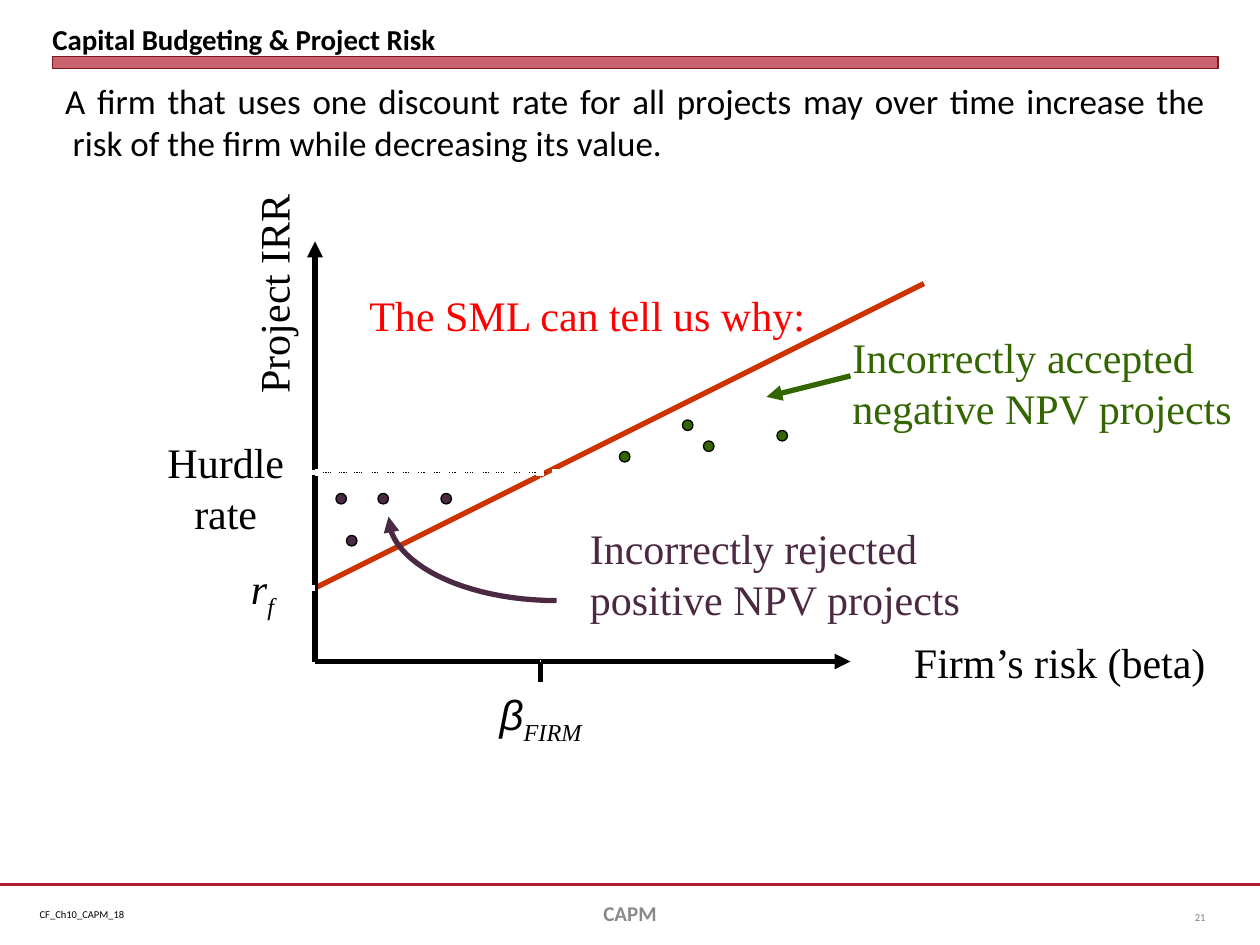
from lxml import etree
from pptx import Presentation, util as u
from pptx.dml.color import RGBColor
from pptx.enum import dml, shapes, text
from pptx.oxml import ns

# Grid: 120 columns by 90 rows, twelve cells to the inch
CELL = u.Inches(1) // 12
COLUMNS, ROWS = 120, 90

BLACK = RGBColor(0x00, 0x00, 0x00)
WHITE = RGBColor(0xFF, 0xFF, 0xFF)
INK = RGBColor(0x01, 0x00, 0x04)
RED = RGBColor(0xFF, 0x00, 0x00)
BRAND = RGBColor(0xB0, 0x1C, 0x2E)
BRAND_DARK = RGBColor(0x82, 0x15, 0x22)
ORANGE = RGBColor(0xCC, 0x33, 0x00)
GREEN = RGBColor(0x33, 0x66, 0x00)
PLUM = RGBColor(0x4B, 0x29, 0x42)
FOOTER_GRAY = RGBColor(0x89, 0x89, 0x89)
NUMBER_GRAY = RGBColor(0x80, 0x80, 0x80)
SERIF, SANS = "Times New Roman", "Calibri"
ALIGN, ANCHOR = text.PP_ALIGN, text.MSO_ANCHOR

presentation = Presentation()
presentation.slide_width, presentation.slide_height = COLUMNS * CELL, ROWS * CELL
slide = presentation.slides.add_slide(presentation.slide_layouts[1])


def write(wording, box, shape=None, font=SERIF, size=24, color=BLACK, bold=False,
          italic=False, align=ALIGN.LEFT, anchor=ANCHOR.TOP, wrap=True,
          rotation=0, subscript=""):
    """Put text in a new box, or in the given placeholder, at grid cells."""
    left, top, width, height = [round(CELL * cells) for cells in box]
    if shape is None:
        shape = slide.shapes.add_textbox(left, top, width, height)
    shape.left, shape.top, shape.width, shape.height = left, top, width, height
    shape.rotation = rotation
    frame = shape.text_frame
    frame.word_wrap, frame.vertical_anchor = wrap, anchor
    frame.auto_size = text.MSO_AUTO_SIZE.NONE
    paragraph = frame.paragraphs[0]
    paragraph.alignment, paragraph.space_before = align, u.Pt(0)
    for content, face in ((wording, font), (subscript, SERIF)):
        if content:
            run = paragraph.add_run()
            run.text = content
            run.font.name, run.font.size = face, u.Pt(size)
            run.font.bold, run.font.italic = bold, italic
            run.font.color.rgb = color
    if subscript:
        run._r.get_or_add_rPr().set("baseline", "-25000")
    return shape


def draw_line(points, color, width, arrow=False, dotted=False):
    """Draw a straight connector, or an open curve through many points."""
    points = [(round(CELL * x), round(CELL * y)) for x, y in points]
    if len(points) == 2:
        line = slide.shapes.add_connector(shapes.MSO_CONNECTOR.STRAIGHT, *points[0], *points[1])
    else:
        builder = slide.shapes.build_freeform(*points[0])
        builder.add_line_segments(points[1:], close=False)
        line = builder.convert_to_shape()
        line.fill.background()
    line.line.color.rgb, line.line.width = color, u.Pt(width)
    if dotted:
        line.line.dash_style = dml.MSO_LINE.ROUND_DOT
    properties = line._element.spPr
    if arrow:
        outline = properties.find(ns.qn("a:ln"))
        etree.SubElement(outline, ns.qn("a:tailEnd"), type="triangle")
    etree.SubElement(properties, ns.qn("a:effectLst"))


# Title and body
title = write("Capital Budgeting & Project Risk", (5, 0.6, 111, 4.8), slide.shapes.title,
              font=SANS, size=16.5, bold=True, anchor=ANCHOR.BOTTOM)
frame = title.text_frame
frame.margin_left = frame.margin_right = frame.margin_top = frame.margin_bottom = 0
body = write("A firm that uses one discount rate for all projects may over time increase "
             "the risk of the firm while decreasing its value.",
             (5, 7, 111, 76.3), slide.placeholders[1],
             font=SANS, size=20, color=INK, align=ALIGN.JUSTIFY)
indents = body.text_frame.paragraphs[0]._p.get_or_add_pPr()
indents.set("marL", str(u.Inches(0.06)))
indents.set("indent", str(-u.Inches(0.06)))
etree.SubElement(indents, ns.qn("a:buNone"))

# Title bar and footer
bar = slide.shapes.add_shape(shapes.MSO_SHAPE.RECTANGLE, 5 * CELL, round(5.4 * CELL),
                             111 * CELL, round(1.15 * CELL))
bar.shadow.inherit = False
bar.fill.solid()
bar.fill.fore_color.rgb = BRAND
etree.SubElement(bar._element.spPr.find(".//" + ns.qn("a:srgbClr")), ns.qn("a:alpha"), val="69000")
bar.line.color.rgb, bar.line.width = BRAND_DARK, 0
draw_line([(0, 84.25), (COLUMNS, 84.25)], BRAND, 1.25)
write("CF_Ch10_CAPM_18", (2.6, 85.9, 10.6, 2.4), font=SANS, size=6, wrap=False)
write("CAPM", (41, 84.6, 38, 4.8), font=SANS, size=12, color=FOOTER_GRAY, bold=True,
      align=ALIGN.CENTER, anchor=ANCHOR.MIDDLE)
write("21", (110, 85, 6, 4.8), font=SANS, size=6, color=NUMBER_GRAY,
      align=ALIGN.RIGHT, anchor=ANCHOR.MIDDLE)

# Axes and security market line
ORIGIN_X, ORIGIN_Y = 30, 63
RISK_FREE_Y, HURDLE_Y, FIRM_X = 56, 45, 51.5
draw_line([(ORIGIN_X, ORIGIN_Y), (81, ORIGIN_Y)], BLACK, 3, arrow=True)
draw_line([(ORIGIN_X, RISK_FREE_Y), (88, 27)], ORANGE, 3)
draw_line([(ORIGIN_X, ORIGIN_Y), (ORIGIN_X, 23)], BLACK, 3, arrow=True)
draw_line([(FIRM_X, ORIGIN_Y), (FIRM_X, ORIGIN_Y + 2)], BLACK, 3)

# White ticks and dotted guides
draw_line([(ORIGIN_X, RISK_FREE_Y), (28, RISK_FREE_Y)], WHITE, 3)
draw_line([(30.3, HURDLE_Y), (28.3, HURDLE_Y)], WHITE, 3)
draw_line([(FIRM_X, ORIGIN_Y), (FIRM_X, HURDLE_Y)], WHITE, 0.75, dotted=True)
draw_line([(ORIGIN_X, HURDLE_Y), (52, HURDLE_Y)], BLACK, 0.75, dotted=True)
draw_line([(ORIGIN_X, HURDLE_Y), (68, HURDLE_Y)], WHITE, 4.5, dotted=True)

# Projects, one cell wide
projects = {
    PLUM: [(32, 47), (36, 47), (42, 47), (33, 51)],
    GREEN: [(59, 43), (65, 40), (67, 42), (74, 41)],
}
for color, places in projects.items():
    for column, row in places:
        dot = slide.shapes.add_shape(shapes.MSO_SHAPE.OVAL, column * CELL, row * CELL, CELL, CELL)
        dot.shadow.inherit = False
        dot.fill.solid()
        dot.fill.fore_color.rgb = color
        dot.line.color.rgb, dot.line.width = BLACK, u.Pt(0.75)

# Arrows from the notes to the projects; the curve is a cubic Bézier
start, control_1, control_2, end = (53, 57.2), (44.2, 57.2), (37, 53.6), (37, 49.2)
STEPS = 24
curve = []
for step in range(STEPS + 1):
    t = step / STEPS
    weights = ((1 - t) ** 3, 3 * t * (1 - t) ** 2, 3 * t ** 2 * (1 - t), t ** 3)
    curve.append([sum(w * value for w, value in zip(weights, values))
                  for values in zip(start, control_1, control_2, end)])
draw_line(curve, PLUM, 3, arrow=True)
draw_line([(81, 35.8), (73, 37.8)], GREEN, 3, arrow=True)

# Labels
write("Project IRR", (14, 26.3, 24, 6), align=ALIGN.RIGHT, rotation=270)
write("Firm’s risk (beta)", (64, 60, 52, 6), align=ALIGN.RIGHT)
write("Hurdle rate", (14, 41, 15, 10.8), align=ALIGN.CENTER)
write("r", (21, 53, 8, 6), italic=True, align=ALIGN.CENTER, subscript="f")
write("β", (46, 65, 11, 6), font="Arial", italic=True, align=ALIGN.CENTER, subscript="FIRM")
write("The SML can tell us why:", (34, 27, 48, 6), color=RED)
write("Incorrectly accepted negative NPV projects", (80, 31, 40, 10.8), color=GREEN)
write("Incorrectly rejected positive NPV projects", (55, 49.2, 41, 10.8), color=PLUM)

presentation.save("out.pptx")
